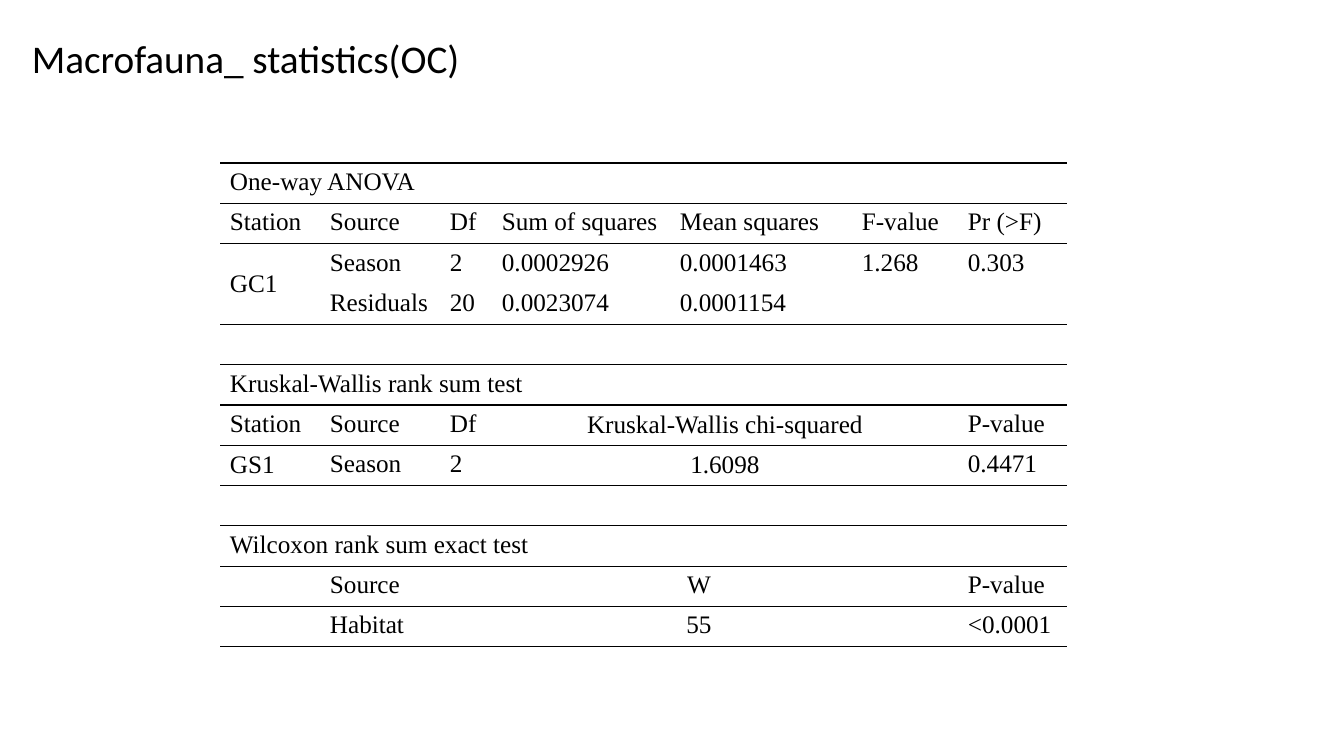
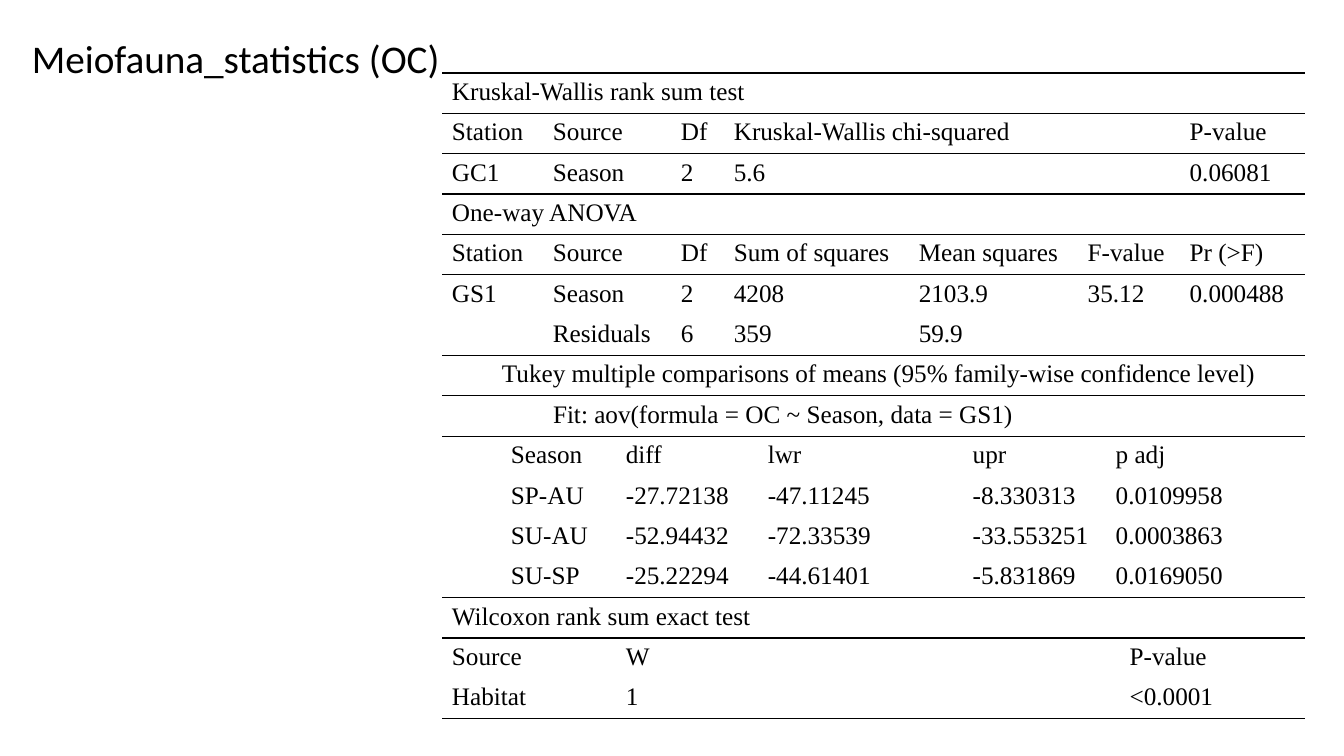
import pptx
import pptx.util
import pptx.dml.color
import pptx.enum.text
import pptx.oxml
import pptx.oxml.ns

Align = pptx.enum.text.PP_ALIGN
Anchor = pptx.enum.text.MSO_ANCHOR
COLORS = {"ink": "000000", "paper": "FFFFFF"}
FONTS = {
    "title": {"name": "Calibri", "size": pptx.util.Pt(28)},
    "table": {"name": "Times New Roman", "size": pptx.util.Pt(18)},
}
RULE = pptx.util.Pt(1)


def px(count):
    return round(count * 12192000 / 1344)


def apply(target, values):
    for name, value in values.items():
        setattr(target, name, value)


CELL = {"margin_top": px(5), "margin_bottom": 0, "margin_left": px(10),
        "margin_right": px(10), "vertical_anchor": Anchor.TOP}
MID = {"margin_top": 0, "vertical_anchor": Anchor.MIDDLE}


class Deck:
    """Holds the shared style and the current slide."""

    def __init__(self):
        self.show = pptx.Presentation()
        apply(self.show, {"slide_width": px(1344), "slide_height": px(756)})

    def page(self, title):
        self.slide = self.show.slides.add_slide(self.show.slide_layouts[6])
        fill = self.slide.background.fill
        fill.solid()
        fill.fore_color.rgb = pptx.dml.color.RGBColor.from_string(COLORS["paper"])
        box = self.slide.shapes.add_textbox(px(22), px(29), px(454), px(57))
        apply(box.text_frame, {"word_wrap": False})
        self.label(box.text_frame.paragraphs[0], title, "title")

    def label(self, para, text, style):
        run = para.add_run()
        run.text = text
        apply(run.font, FONTS[style])
        run.font.color.rgb = pptx.dml.color.RGBColor.from_string(COLORS["ink"])

    def edge(self, cell, side, ruled):
        props = cell._tc.get_or_add_tcPr()
        space = pptx.oxml.ns.nsdecls("a")
        paint = "<a:noFill/>"
        if ruled:
            paint = f'<a:solidFill><a:srgbClr val="{COLORS["ink"]}"/></a:solidFill>'
        props.append(pptx.oxml.parse_xml(
            f'<a:ln{side} {space} w="{RULE}">{paint}</a:ln{side}>'))

    def table(self, left, top, height, widths, rows, open_tops, forms, tall=()):
        count = len(rows)
        frame = self.slide.shapes.add_table(
            count, len(widths), px(left), px(top), px(sum(widths)), px(height))
        grid = frame.table
        apply(grid, {"first_row": False, "horz_banding": False})
        for col, width in zip(grid.columns, widths):
            col.width = px(width)
        for num, (spans, line) in enumerate(rows):
            grid.rows[num].height = px(height / count)
            for col in range(len(widths)):
                cell = grid.cell(num, col)
                for side in "LR":
                    self.edge(cell, side, False)
                self.edge(cell, "T", num not in open_tops)
                self.edge(cell, "B", num + 1 not in open_tops)
                cell.fill.background()
                apply(cell, CELL)
            col = 0
            for span, text in zip(spans, line.split("|")):
                cell = grid.cell(num, col)
                if span > 1:
                    cell.merge(grid.cell(num, col + span - 1))
                if text:
                    self.label(cell.text_frame.paragraphs[0], text, "table")
                look, align = forms.get((num, col), ({}, Align.LEFT))
                apply(cell, look)
                cell.text_frame.paragraphs[0].alignment = align
                col += span
        for num, col in tall:
            grid.cell(num, col).merge(grid.cell(num + 1, col))


def main():
    deck = Deck()

    deck.page("Macrofauna_ statistics(OC)")
    full, each = (7,), (1,) * 7
    rank, pair = (1, 1, 1, 3, 1), (1, 1, 4, 1)
    rows = [
        (full, "One-way ANOVA"),
        (each, "Station|Source|Df|Sum of squares|Mean squares|F-value|Pr (>F)"),
        (each, "GC1|Season|2|0.0002926|0.0001463|1.268|0.303"),
        (each, "|Residuals|20|0.0023074|0.0001154||"),
        (each, "||||||"),
        (full, "Kruskal-Wallis rank sum test"),
        (rank, "Station|Source|Df|Kruskal-Wallis chi-squared|P-value"),
        (rank, "GS1|Season|2|1.6098|0.4471"),
        (rank, "||||"),
        (full, "Wilcoxon rank sum exact test"),
        (pair, "|Source|W|P-value"),
        (pair, "|Habitat|55|<0.0001"),
    ]
    forms = {
        (2, 0): (MID, Align.LEFT),
        (7, 0): (MID, Align.LEFT),
        (6, 3): (MID, Align.CENTER),
        (7, 3): (MID, Align.CENTER),
        (10, 2): ({}, Align.CENTER),
        (11, 2): ({}, Align.CENTER),
    }
    deck.table(220, 163, 484, (100, 120, 52, 178, 182, 106, 109),
               rows, {3}, forms, [(2, 0)])

    deck.page("Meiofauna_statistics (OC)")
    full, rank = (13,), (2, 2, 1, 7, 1)
    test, comp, pair = (2, 2, 1, 2, 2, 3, 1), (1, 2, 3, 2, 2, 3), (3, 8, 2)
    rows = [
        (full, "Kruskal-Wallis rank sum test"),
        (rank, "Station|Source|Df|Kruskal-Wallis chi-squared|P-value"),
        (rank, "GC1|Season|2|5.6|0.06081"),
        (full, "One-way ANOVA"),
        (test, "Station|Source|Df|Sum of squares|Mean squares|F-value|Pr (>F)"),
        (test, "GS1|Season|2|4208|2103.9|35.12|0.000488"),
        (test, "|Residuals|6|359|59.9||"),
        (full, "Tukey multiple comparisons of means (95% family-wise confidence level)"),
        (full, "Fit: aov(formula = OC ~ Season, data = GS1)"),
        (comp, "|Season|diff|lwr|upr|p adj"),
        (comp, "|SP-AU|-27.72138|-47.11245|-8.330313|0.0109958"),
        (comp, "|SU-AU|-52.94432|-72.33539|-33.553251|0.0003863"),
        (comp, "|SU-SP|-25.22294|-44.61401|-5.831869|0.0169050"),
        (full, "Wilcoxon rank sum exact test"),
        (pair, "Source|W|P-value"),
        (pair, "Habitat|1|<0.0001"),
    ]
    forms = {
        (7, 0): ({"margin_left": px(60)}, Align.LEFT),
        (8, 0): ({"margin_left": px(111)}, Align.LEFT),
    }
    deck.table(442, 73, 646, (59, 42, 73, 55, 53, 34, 151, 54, 115, 28, 14, 60, 120),
               rows, {6, 10, 11, 12, 15}, forms)

    deck.show.save("out.pptx")


if __name__ == "__main__":
    main()
